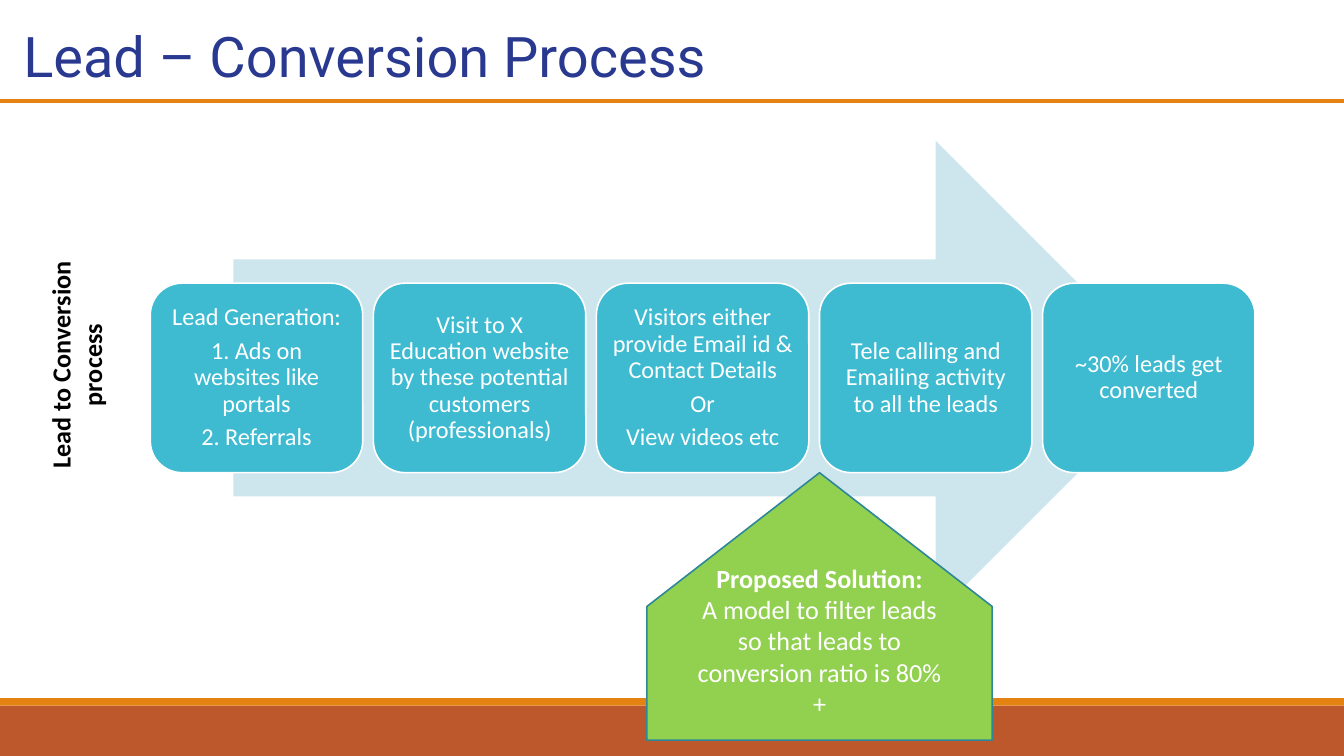
"""Build the lead conversion process slide."""
from dataclasses import dataclass
from typing import Optional

from lxml.etree import SubElement
from pptx import Presentation
from pptx.dml.color import RGBColor
from pptx.enum.shapes import MSO_CONNECTOR as Link, MSO_SHAPE as Preset
from pptx.enum.text import MSO_ANCHOR as Anchor, PP_ALIGN as Align
from pptx.oxml.ns import qn
from pptx.util import Pt

ORANGE, RUST, NAVY = "E48312", "BD582C", "2A3990"
PALE, TEAL, GREEN, EDGE = "CDE6ED", "3EBAD1", "92D050", "2E8799"
WHITE, BLACK = "FFFFFF", "000000"


@dataclass(frozen=True)
class Area:
    left: float
    top: float
    width: float
    height: float


@dataclass(frozen=True)
class Line:
    text: str
    bold: bool = False


STEPS = [
    ["Lead Generation:", "1. Ads on websites like portals", "2. Referrals"],
    ["Visit to X Education website by these potential customers (professionals)"],
    ["Visitors either provide Email id & Contact Details", "Or", "View videos etc"],
    ["Tele calling and Emailing activity to all the leads"],
    ["~30% leads get converted"],
]
FIRST_STEP = Area(80.5, 151.7, 113.8, 101.5)
STEP_PITCH = 119.5


def colour(value: str) -> RGBColor:
    """Turn a hex string into a colour."""
    return RGBColor.from_string(value)


def write(box, lines: list[Line], *, size: float, ink: str = WHITE, font: str = "Calibri",
          align=Align.CENTER, anchor=Anchor.TOP, margins: tuple = (5, 3),
          spacing: Optional[float] = None, gap: float = 0) -> None:
    """Fill a box with paragraphs in one format."""
    frame = box.text_frame
    frame.word_wrap = True
    frame.vertical_anchor = anchor
    frame.margin_left = frame.margin_right = Pt(margins[0])
    frame.margin_top = frame.margin_bottom = Pt(margins[1])
    for index, line in enumerate(lines):
        para = frame.add_paragraph() if index else frame.paragraphs[0]
        para.alignment = align
        if spacing:
            para.line_spacing = spacing
        if index:
            para.space_before = Pt(gap)
        span = para.add_run()
        span.text = line.text
        span.font.name = font
        span.font.size = Pt(size)
        span.font.bold = line.bold
        span.font.color.rgb = colour(ink)


def place(area: Area) -> tuple:
    """Give an area as lengths."""
    return Pt(area.left), Pt(area.top), Pt(area.width), Pt(area.height)


def add_shape(page, preset, area: Area, fill: str, *, edge: Optional[str] = None,
              adjust: Optional[float] = None, rotation: float = 0):
    """Draw a filled preset shape."""
    shape = page.shapes.add_shape(preset, *place(area))
    shape.shadow.inherit = False
    shape.fill.solid()
    shape.fill.fore_color.rgb = colour(fill)
    shape.rotation = rotation
    if adjust is not None:
        shape.adjustments[0] = adjust
    if edge:
        shape.line.color.rgb = colour(edge)
        shape.line.width = Pt(0.85)
    else:
        shape.line.fill.background()
    return shape


def add_text(page, area: Area, lines: list[Line], *, rotation: float = 0, **style) -> None:
    """Add a text box."""
    box = page.shapes.add_textbox(*place(area))
    box.rotation = rotation
    write(box, lines, **style)


def add_rule(page, top: float) -> None:
    """Draw the rule below the title."""
    rule = page.shapes.add_connector(Link.STRAIGHT, Pt(0), Pt(top), Pt(720), Pt(top))
    rule.line.color.rgb = colour(ORANGE)
    rule.line.width = Pt(2.25)
    SubElement(rule._element.spPr, qn("a:effectLst"))


def add_step(page, index: int, texts: list[str]) -> None:
    """Draw one step of the process."""
    first = FIRST_STEP
    area = Area(first.left + index * STEP_PITCH, first.top, first.width, first.height)
    box = add_shape(page, Preset.ROUNDED_RECTANGLE, area, TEAL, edge=WHITE, adjust=0.167)
    write(box, [Line(text) for text in texts], size=13, anchor=Anchor.MIDDLE,
          margins=(3.6, 3.6), spacing=0.9, gap=4)


def main() -> None:
    """Build and save the deck."""
    deck = Presentation()
    deck.slide_width, deck.slide_height = Pt(720), Pt(405)
    page = deck.slides.add_slide(deck.slide_layouts[6])

    add_shape(page, Preset.RECTANGLE, Area(0, 378, 720, 27), RUST)
    add_shape(page, Preset.RECTANGLE, Area(0, 374, 720, 4), ORANGE)
    add_rule(page, 54)
    add_text(page, Area(7.5, 8.6, 557, 34.6), [Line("Lead – Conversion Process")],
             size=30, ink=NAVY, font="Roboto", align=Align.LEFT)

    add_shape(page, Preset.RIGHT_ARROW, Area(125, 75.5, 503.3, 254), PALE)
    for index, texts in enumerate(STEPS):
        add_step(page, index, texts)
    add_text(page, Area(-22.3, 176.4, 124.6, 38.2), [Line("Lead to Conversion process", True)],
             size=14, ink=BLACK, rotation=270)

    add_shape(page, Preset.PENTAGON, Area(367.4, 232.4, 143.3, 185), GREEN,
              edge=EDGE, adjust=0.5, rotation=270)
    add_text(page, Area(367.4, 289.4, 143.3, 107.3),
             [Line("Proposed Solution:", True),
              Line("A model to filter leads so that leads to conversion ratio is 80%+")],
             size=14, anchor=Anchor.MIDDLE)
    deck.save("out.pptx")


if __name__ == "__main__":
    main()
